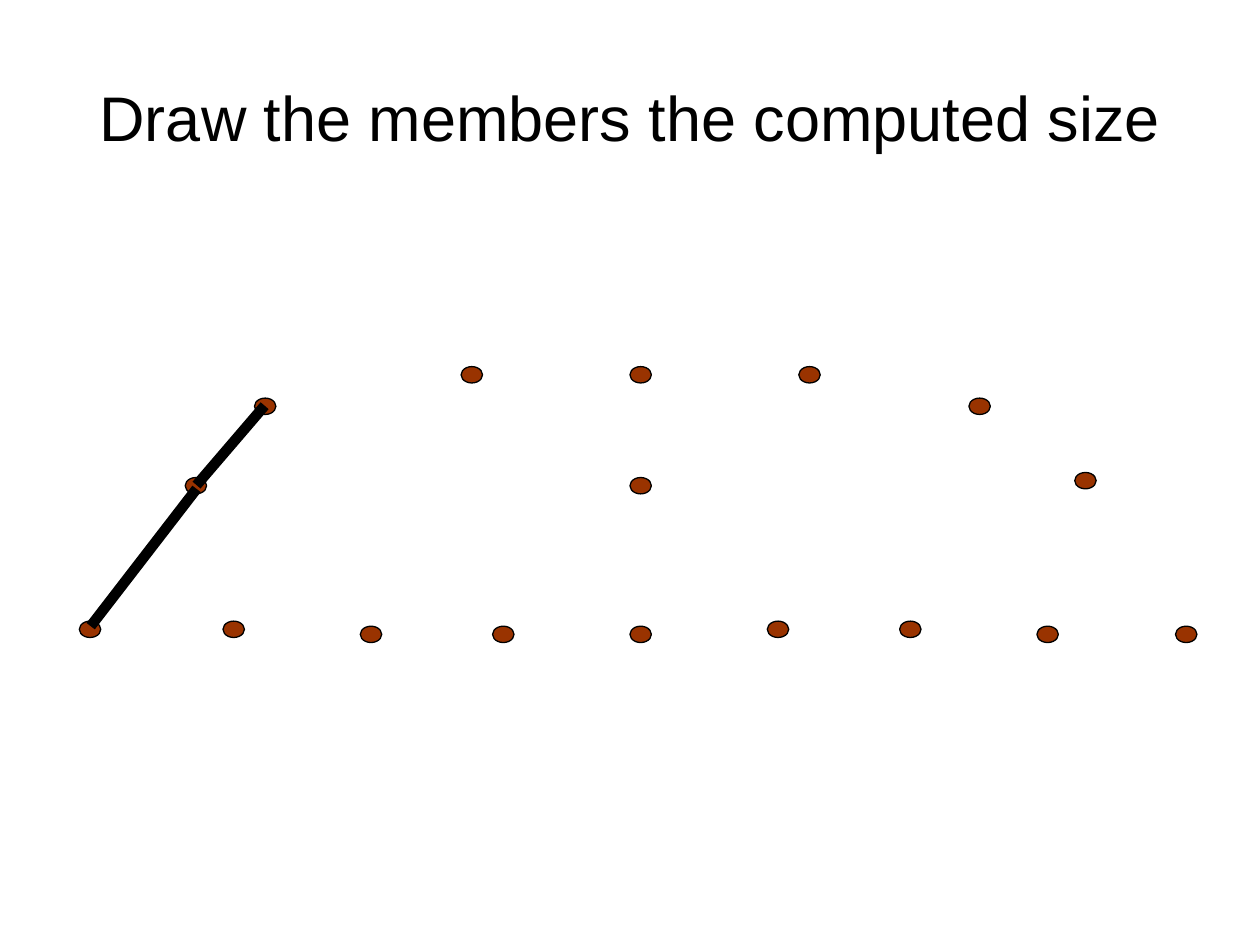
from collections import namedtuple

from lxml.etree import SubElement
from pptx import Presentation
from pptx.dml.color import RGBColor
from pptx.enum.shapes import MSO_CONNECTOR as Connector, MSO_SHAPE as Shape
from pptx.enum.text import MSO_ANCHOR as Anchor, PP_ALIGN as Align
from pptx.oxml.ns import qn
from pptx.util import Inches, Pt

Box = namedtuple("Box", "left top width height")

COLUMNS, ROWS = 1000, 750
SLIDE_WIDTH, SLIDE_HEIGHT = Inches(10), Inches(7.5)
JOINT_WIDTH, JOINT_HEIGHT = 17, 13

TITLE_BOX = Box(50, 30, 900, 125)
TRUSS_BOX = Box(63, 291, 887, 219)

JOINT_ROWS = [
    (202, [0, 114]),
    (206, [223, 328, 437]),
    (202, [546, 651]),
    (206, [760, 870]),
    (88, [84, 437]),
    (25, [139]),
    (0, [303, 437, 571]),
    (25, [706]),
    (84, [790]),
]
MEMBERS = [((9, 206), (93, 97)), ((93, 94), (147, 31))]


def across(columns):
    return round(SLIDE_WIDTH * columns / COLUMNS)


def down(rows):
    return round(SLIDE_HEIGHT * rows / ROWS)


def place(box):
    return across(box.left), down(box.top), across(box.width), down(box.height)


def color(value):
    return RGBColor.from_string(value)


def apply_format(target, values):
    for name, value in values.items():
        setattr(target, name, value)


def add_title(slide, box, text):
    frame = slide.shapes.add_textbox(*place(box)).text_frame
    apply_format(frame, {"word_wrap": True, "vertical_anchor": Anchor.MIDDLE})
    paragraph = frame.paragraphs[0]
    apply_format(paragraph, {"text": text, "alignment": Align.CENTER})
    font = paragraph.runs[0].font
    apply_format(font, {"name": "Arial", "size": Pt(36)})
    font.color.rgb = color("000000")


def add_joint(slide, box):
    joint = slide.shapes.add_shape(Shape.OVAL, *place(box))
    joint.shadow.inherit = False
    joint.fill.solid()
    joint.fill.fore_color.rgb = color("993300")
    joint.line.color.rgb = color("000000")
    joint.line.width = Pt(0.75)


def add_member(slide, box, start, end):
    points = [
        length
        for column, row in (start, end)
        for length in (across(box.left + column), down(box.top + row))
    ]
    member = slide.shapes.add_connector(Connector.STRAIGHT, *points)
    member.line.color.rgb = color("000000")
    member.line.width = Pt(6)
    SubElement(member._element.spPr, qn("a:effectLst"))


def add_truss(slide, box):
    for row, columns in JOINT_ROWS:
        for column in columns:
            add_joint(slide, Box(box.left + column, box.top + row, JOINT_WIDTH, JOINT_HEIGHT))
    for start, end in MEMBERS:
        add_member(slide, box, start, end)


def main():
    presentation = Presentation()
    apply_format(presentation, {"slide_width": SLIDE_WIDTH, "slide_height": SLIDE_HEIGHT})
    slide = presentation.slides.add_slide(presentation.slide_layouts[6])
    slide.background.fill.solid()
    slide.background.fill.fore_color.rgb = color("FFFFFF")
    add_title(slide, TITLE_BOX, "Draw the members the computed size")
    add_truss(slide, TRUSS_BOX)
    presentation.save("out.pptx")


if __name__ == "__main__":
    main()
